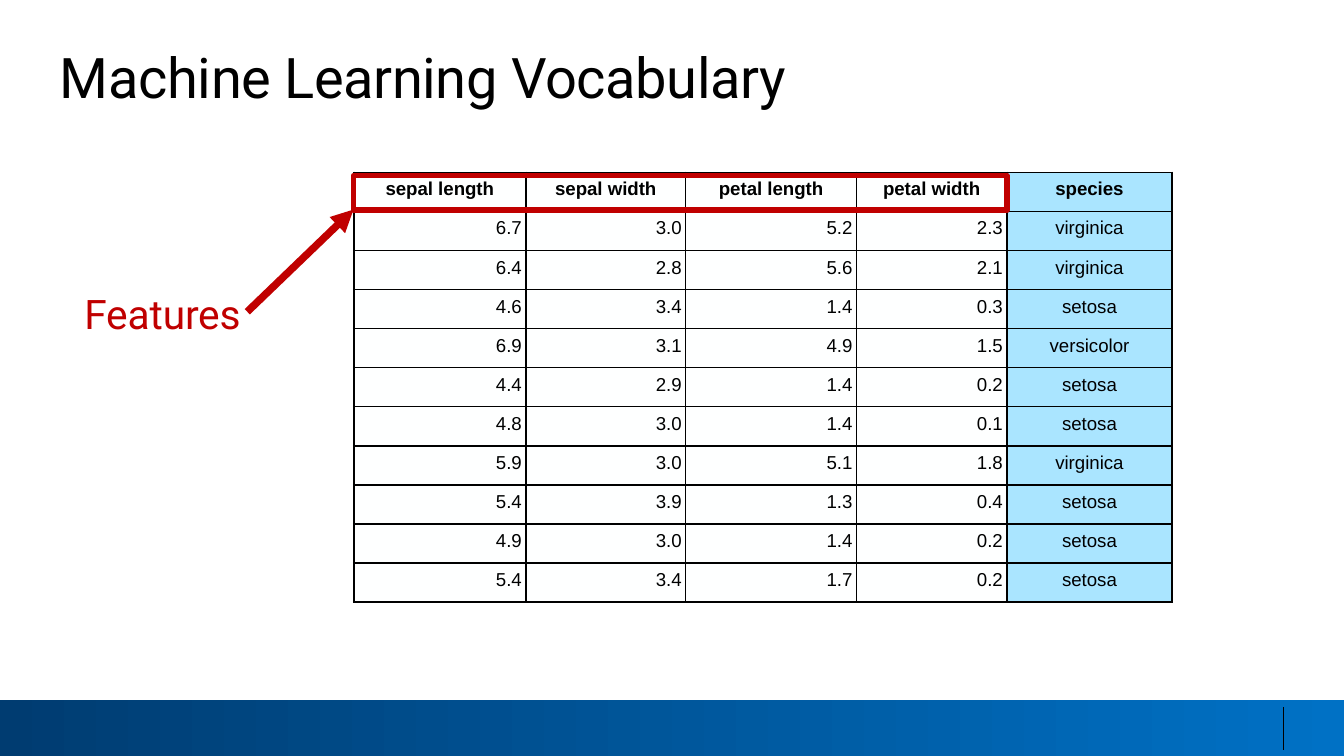
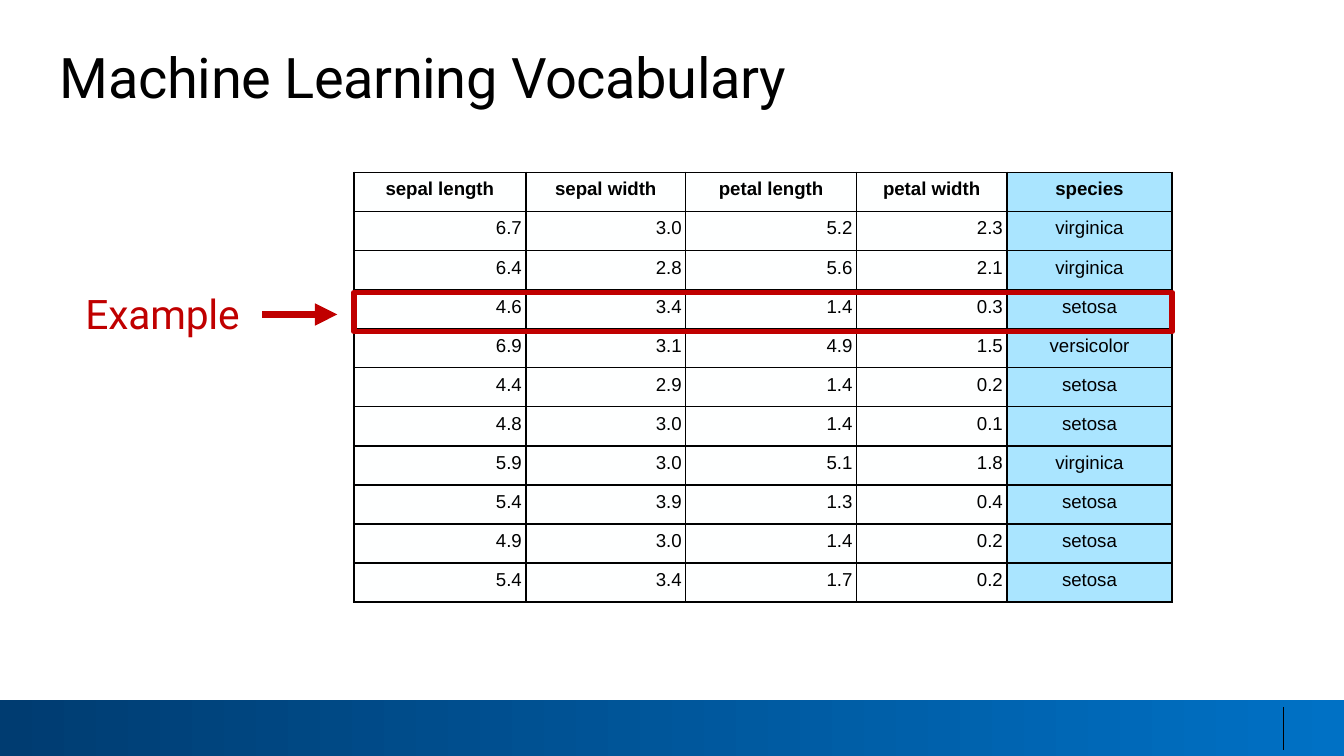
"""Builds two slides that point out features and examples in the iris table."""
from dataclasses import dataclass
from itertools import product

from lxml.etree import SubElement
from pptx import Presentation
from pptx.dml.color import RGBColor
from pptx.enum.shapes import MSO_CONNECTOR as Connector, MSO_SHAPE as Shape
from pptx.enum.text import MSO_ANCHOR as Anchor, MSO_AUTO_SIZE as AutoSize, PP_ALIGN as Align
from pptx.oxml.ns import qn
from pptx.util import Inches, Pt

WIDTH = Inches(10)
HEIGHT = WIDTH * 9 // 16
BLACK = RGBColor(0x00, 0x00, 0x00)
RED = RGBColor(0xC0, 0x00, 0x00)
BRIGHT_BLUE = RGBColor(0x00, 0x71, 0xC5)
DARK_BLUE = RGBColor(0x00, 0x3C, 0x71)
CELL_WHITE = RGBColor(0xFE, 0xFF, 0xFF)
SPECIES_BLUE = RGBColor(0x76, 0xD6, 0xFF)
TITLE_FONT, TABLE_FONT = "Roboto", "Arial"

TITLE = "Machine Learning Vocabulary"
HEADER = ("sepal length", "sepal width", "petal length", "petal width", "species")
FLOWERS = (
    ("6.7", "3.0", "5.2", "2.3", "virginica"),
    ("6.4", "2.8", "5.6", "2.1", "virginica"),
    ("4.6", "3.4", "1.4", "0.3", "setosa"),
    ("6.9", "3.1", "4.9", "1.5", "versicolor"),
    ("4.4", "2.9", "1.4", "0.2", "setosa"),
    ("4.8", "3.0", "1.4", "0.1", "setosa"),
    ("5.9", "3.0", "5.1", "1.8", "virginica"),
    ("5.4", "3.9", "1.3", "0.4", "setosa"),
    ("4.9", "3.0", "1.4", "0.2", "setosa"),
    ("5.4", "3.4", "1.7", "0.2", "setosa"),
)
ROWS = (HEADER, *FLOWERS)
COLUMN_SHARES = (12.8, 11.9, 12.7, 11.2, 12.3)
TABLE_LEFT, TABLE_TOP, TABLE_HEIGHT = 26.32, 22.8, 56.89
ROW_SHARE = TABLE_HEIGHT / len(ROWS)
FRAME_DROP = 0.4


@dataclass(frozen=True)
class Area:
    """A rectangle in percent of the slide's width and height."""
    left: float
    top: float
    width: float
    height: float

    def emu(self) -> tuple:
        """Return left, top, width and height as lengths."""
        return across(self.left), down(self.top), across(self.width), down(self.height)


@dataclass(frozen=True)
class Callout:
    """A label, its arrow and the table cells that it frames."""
    label: str
    row: int
    columns: int
    frame_height: float
    arrow_start: tuple[float, float]
    arrow_end: tuple[float, float]


BAND = Area(0, 92.6, 100, 7.4)
TITLE_AREA = Area(4.35, 5.69, 92.3, 8.89)
LABEL_AREA = Area(4.35, 37.69, 15.4, 7.11)
CALLOUTS = (
    Callout("Features", 0, 4, 4.62, (18.4, 41.24), (26.3, 27.73)),
    Callout("Example", 3, 5, 5.16, (19.5, 41.6), (25.1, 41.6)),
)


def across(share: float) -> int:
    """Turn a percentage of the slide's width into a length."""
    return round(WIDTH * share / 100)


def down(share: float) -> int:
    """Turn a percentage of the slide's height into a length."""
    return round(HEIGHT * share / 100)


def set_font(paragraph, name: str, size: float, color: RGBColor, bold: bool = False) -> None:
    """Format all runs of a paragraph alike."""
    font = paragraph.font
    font.name, font.size, font.bold = name, Pt(size), bold
    font.color.rgb = color


def write_line(box, text: str, size: float, color: RGBColor, align: Align, spacing: int):
    """Put one slightly condensed line at the top of a box without insets."""
    frame = box.text_frame
    frame.text, frame.word_wrap = text, True
    frame.auto_size, frame.vertical_anchor = AutoSize.NONE, Anchor.TOP
    frame.margin_left = frame.margin_top = frame.margin_right = frame.margin_bottom = 0
    paragraph = frame.paragraphs[0]
    paragraph.alignment = align
    set_font(paragraph, TITLE_FONT, size, color)
    for properties in box.element.iter(qn("a:pPr")):
        properties.set("marL", str(Inches(0.01)))
        properties.set("indent", "0")
    for properties in box.element.iter(qn("a:defRPr")):
        properties.set("spc", str(spacing))
    return paragraph


def add_line(page, start: tuple, end: tuple, color: RGBColor, width: float, arrow: bool = False):
    """Draw a straight line, with an arrowhead at its end if asked."""
    line = page.shapes.add_connector(
        Connector.STRAIGHT, across(start[0]), down(start[1]), across(end[0]), down(end[1]))
    line.line.color.rgb, line.line.width = color, Pt(width)
    if arrow:
        SubElement(line.element.spPr.find(qn("a:ln")), qn("a:tailEnd"), type="triangle")
    SubElement(line.element.spPr, qn("a:effectLst"))
    return line


def add_footer(page, layout) -> None:
    """Draw the footer band and its rule, then move them to the layout."""
    band = page.shapes.add_shape(Shape.RECTANGLE, *BAND.emu())
    band.line.fill.background()
    band.fill.gradient()
    band.fill.gradient_angle = 180
    for stop, color, position in zip(band.fill.gradient_stops, (BRIGHT_BLUE, DARK_BLUE), (0, 1)):
        stop.color.rgb, stop.position = color, position
    band.shadow.inherit = False
    shadow = SubElement(band.element.spPr.find(qn("a:effectLst")), qn("a:outerShdw"),
                        blurRad="0", dist=str(Pt(1.8)), dir="5400000", rotWithShape="0")
    shade = SubElement(shadow, qn("a:srgbClr"), val=str(BLACK))
    SubElement(shade, qn("a:alpha"), val="35000")
    rule = add_line(page, (95.5, 93.5), (95.5, 99.2), BLACK, 0.75)
    for part in (band, rule):
        layout.shapes.element.append(part.element)


def add_borders(cell) -> None:
    """Give a cell thin black lines on all four sides."""
    properties = cell._tc.get_or_add_tcPr()
    for index, side in enumerate(("a:lnL", "a:lnR", "a:lnT", "a:lnB")):
        border = SubElement(properties, qn(side), w=str(Pt(0.96)))
        fill = SubElement(border, qn("a:solidFill"))
        SubElement(fill, qn("a:srgbClr"), val=str(BLACK))
        properties.insert(index, border)


def format_cell(cell, text: str, is_header: bool, is_species: bool) -> None:
    """Fill in and style one table cell."""
    cell.text = text
    cell.margin_left = cell.margin_right = Inches(0.03)
    cell.margin_top = cell.margin_bottom = Inches(0.05)
    paragraph = cell.text_frame.paragraphs[0]
    paragraph.alignment = Align.CENTER if is_header or is_species else Align.RIGHT
    set_font(paragraph, TABLE_FONT, 10, BLACK, is_header)
    cell.fill.solid()
    cell.fill.fore_color.rgb = SPECIES_BLUE if is_species else CELL_WHITE
    if is_species:
        for color in cell._tc.tcPr.iter(qn("a:srgbClr")):
            SubElement(color, qn("a:alpha"), val="62000")
    add_borders(cell)


def add_flower_table(page) -> None:
    """Draw the table of iris measurements."""
    area = Area(TABLE_LEFT, TABLE_TOP, sum(COLUMN_SHARES), TABLE_HEIGHT)
    table = page.shapes.add_table(len(ROWS), len(HEADER), *area.emu()).table
    table.first_row = table.horz_banding = False
    for column, share in zip(table.columns, COLUMN_SHARES):
        column.width = across(share)
    for row in table.rows:
        row.height = down(ROW_SHARE)
    for row, column in product(range(len(ROWS)), range(len(HEADER))):
        format_cell(table.cell(row, column), ROWS[row][column],
                    row == 0, column == len(HEADER) - 1)


def add_callout(page, callout: Callout) -> None:
    """Label and frame part of the table, and join both with an arrow."""
    label = page.shapes.add_textbox(*LABEL_AREA.emu())
    paragraph = write_line(label, callout.label, 21.8, RED, Align.CENTER, -10)
    paragraph.line_spacing = Pt(28.5)
    area = Area(TABLE_LEFT, TABLE_TOP + callout.row * ROW_SHARE + FRAME_DROP,
                sum(COLUMN_SHARES[:callout.columns]), callout.frame_height)
    frame = page.shapes.add_shape(Shape.RECTANGLE, *area.emu())
    frame.shadow.inherit = False
    frame.fill.background()
    frame.line.color.rgb, frame.line.width = RED, Pt(3)
    add_line(page, callout.arrow_start, callout.arrow_end, RED, 4, arrow=True)


def main() -> None:
    """Build and save the deck."""
    deck = Presentation()
    deck.slide_width, deck.slide_height = WIDTH, HEIGHT
    layout = deck.slide_layouts.get_by_name("Title Only")
    pages = [deck.slides.add_slide(layout) for _ in CALLOUTS]
    add_footer(pages[0], layout)
    for page, callout in zip(pages, CALLOUTS):
        title = page.shapes.title
        title.left, title.top, title.width, title.height = TITLE_AREA.emu()
        write_line(title, TITLE, 30, BLACK, Align.LEFT, -20)
        add_flower_table(page)
        add_callout(page, callout)
    deck.save("out.pptx")


if __name__ == "__main__":
    main()
